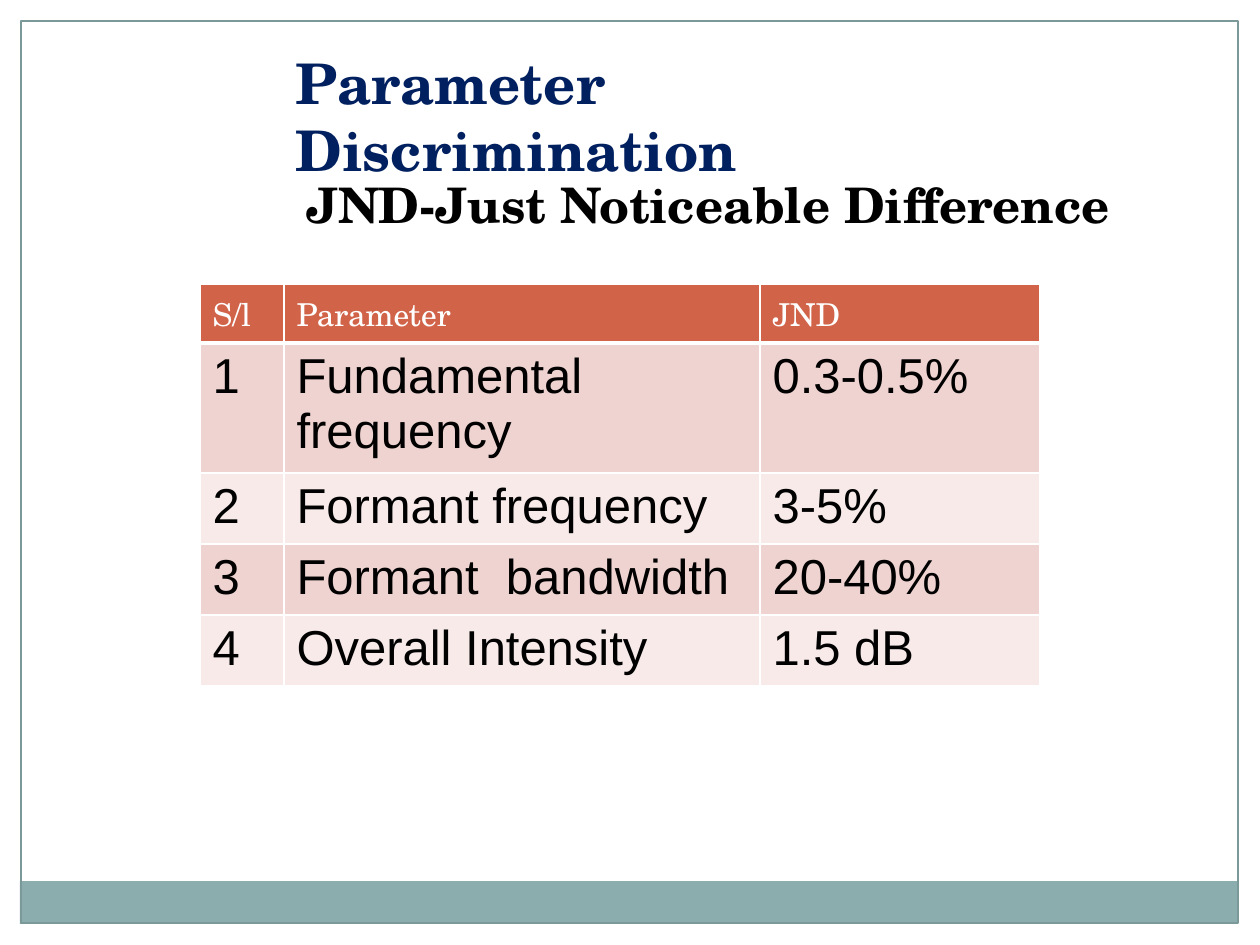
"""Build the parameter discrimination slide with its JND table."""
from lxml import etree
from pptx import Presentation
from pptx.dml.color import RGBColor
from pptx.enum.shapes import MSO_SHAPE
from pptx.enum.text import MSO_ANCHOR, MSO_AUTO_SIZE, PP_ALIGN
from pptx.oxml import parse_xml
from pptx.oxml.ns import nsdecls
from pptx.util import Emu, Pt

RECT = MSO_SHAPE.RECTANGLE
TOP = MSO_ANCHOR.TOP
LEFT = PP_ALIGN.LEFT
FIXED = MSO_AUTO_SIZE.NONE
PX = 914400 / 126
SERIF = "TeX Gyre Schola"
SANS = "Arial"
WHITE = "FFFFFF"


def hue(code):
    return RGBColor.from_string(code)


def write(frame, text, size, font, color, bold=False):
    para = frame.paragraphs[0]
    para.alignment = LEFT
    run = para.add_run()
    run.text = text
    run.font.size = Pt(size)
    run.font.name = font
    run.font.bold = bold
    run.font.color.rgb = hue(color)


deck = Presentation()
deck.slide_width = Emu(round(1260 * PX))
deck.slide_height = Emu(round(945 * PX))
slide = deck.slides.add_slide(deck.slide_layouts[5])
shapes = slide.shapes

frames = [
    ((0, 0, 1260, 21), WHITE, None),
    ((1239, 0, 21, 945), WHITE, None),
    ((0, 0, 21, 945), WHITE, None),
    ((20, 881, 1217, 43), "8CADAE", None),
    ((21, 21, 1217, 902), None, "7C999A"),
]
for box, fill, line in frames:
    rect = shapes.add_shape(RECT, *[Emu(round(n * PX)) for n in box])
    rect.shadow.inherit = False
    if fill:
        rect.fill.solid()
        rect.fill.fore_color.rgb = hue(fill)
    else:
        rect.fill.background()
    if line:
        rect.line.color.rgb = hue(line)
        rect.line.width = Pt(0.75)
    else:
        rect.line.fill.background()

title = shapes.title
sub = shapes.add_textbox(0, 0, 0, 0)
heads = [
    (title, (283, 42, 711, 81), "Parameter Discrimination", 32, "002060"),
    (sub, (294, 168, 840, 72), "JND-Just Noticeable Difference", 28, "000000"),
]
for shape, box, text, size, color in heads:
    shape.left, shape.top, shape.width, shape.height = [
        Emu(round(n * PX)) for n in box]
    frame = shape.text_frame
    frame.word_wrap = True
    frame.auto_size = FIXED
    frame.vertical_anchor = TOP
    write(frame, text, size, SERIF, color, True)

rows = [
    ("S/l", "Parameter", "JND"),
    ("1", "Fundamental frequency", "0.3-0.5%"),
    ("2", "Formant frequency", "3-5%"),
    ("3", "Formant  bandwidth", "20-40%"),
    ("4", "Overall Intensity", "1.5 dB"),
]
wides = [84, 476, 280]
highs = [51, 130, 71, 71, 71]
box = (200, 284, sum(wides), sum(highs))
table = shapes.add_table(
    len(rows), len(wides), *[Emu(round(n * PX)) for n in box]).table
for col, wide in zip(table.columns, wides):
    col.width = Emu(round(wide * PX))
for r, (row, high) in enumerate(zip(rows, highs)):
    table.rows[r].height = Emu(round(high * PX))
    head = r == 0
    fill = "D16349" if head else ("F7EAE9", "EED3D0")[r % 2]
    style = (18, SERIF, WHITE) if head else (28, SANS, "000000")
    for c, text in enumerate(row):
        cell = table.cell(r, c)
        props = cell._tc.get_or_add_tcPr()
        for side in "LRTB":
            thick = 3 if head and side == "B" else 1
            edge = parse_xml(f'<a:ln{side} {nsdecls("a")} w="{Pt(thick)}"/>')
            paint = etree.SubElement(edge, edge.tag.replace(f"ln{side}", "solidFill"))
            etree.SubElement(
                paint, edge.tag.replace(f"ln{side}", "srgbClr"), val=WHITE)
            props.append(edge)
        cell.fill.solid()
        cell.fill.fore_color.rgb = hue(fill)
        write(cell.text_frame, text, *style)

deck.save("out.pptx")
